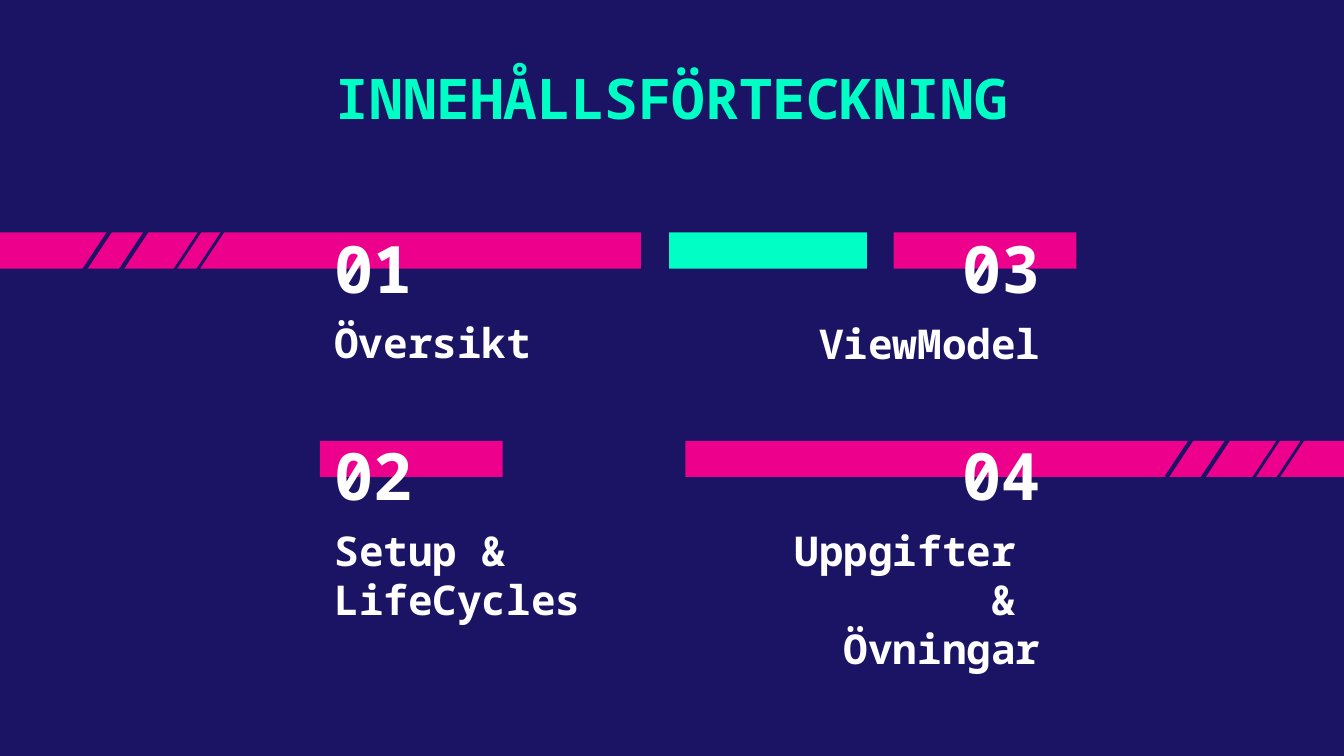
import pptx
import pptx.util
from pptx.dml.color import RGBColor
from pptx.enum.shapes import MSO_CONNECTOR, MSO_SHAPE
from pptx.enum.text import MSO_ANCHOR, PP_ALIGN
from pptx.oxml.ns import qn
from lxml import etree

Inches = pptx.util.Inches
NAVY = RGBColor(0x1B, 0x14, 0x64)
PINK = RGBColor(0xEC, 0x00, 0x8C)
MINT = RGBColor(0x00, 0xFF, 0xC5)
WHITE = RGBColor(0xFF, 0xFF, 0xFF)
FONT = "Noto Sans Mono"

TITLE = "INNEHÅLLSFÖRTECKNING"
BAR_HEIGHT = 0.27
BARS = [
    (0, 1.73, 4.77, PINK),
    (6.65, 1.73, 1.36, PINK),
    (2.38, 3.28, 1.36, PINK),
    (5.1, 3.28, 4.9, PINK),
    (4.98, 1.73, 1.47, MINT),
]
NUMBER_WIDTH = 2.37
LEFT_COLUMN = (2.39, PP_ALIGN.LEFT)
RIGHT_COLUMN = (5.47, PP_ALIGN.RIGHT)
SECTIONS = [
    ("01", "Översikt", LEFT_COLUMN, 2.02, 2.36, 2.37),
    ("03", "ViewModel", RIGHT_COLUMN, 2.02, 2.37, 3.15),
    ("02", "Setup &\nLifeCycles", LEFT_COLUMN, 3.56, 3.91, 3.38),
    ("04", "Uppgifter \v& \vÖvningar", RIGHT_COLUMN, 3.56, 3.91, 2.37),
]
SLASH_RUN, SLASH_DROP = 0.57, 0.86
SLASHES = [
    (2.25, [(1.03, 1.4), (1.19, 1.57), (9.25, 2.69), (9.41, 2.86)]),
    (1.5, [(1.53, 1.66), (1.7, 1.66), (9.57, 3.19), (9.75, 3.19)]),
]


def add_bar(slide, left, top, width, color):
    bar = slide.shapes.add_shape(
        MSO_SHAPE.RECTANGLE, Inches(left), Inches(top), Inches(width), Inches(BAR_HEIGHT))
    bar.shadow.inherit = False
    bar.fill.solid()
    bar.fill.fore_color.rgb = color
    bar.line.fill.background()


def add_text(slide, text, box, size, color, alignment, anchor=MSO_ANCHOR.TOP, inset=0):
    text_frame = slide.shapes.add_textbox(*map(Inches, box)).text_frame
    text_frame.word_wrap = True
    text_frame.vertical_anchor = anchor
    text_frame.margin_top = text_frame.margin_bottom = Inches(inset)
    text_frame.margin_left = text_frame.margin_right = Inches(0.1)
    text_frame.text = text
    for paragraph in text_frame.paragraphs:
        paragraph.alignment = alignment
        for run in paragraph.runs:
            run.font.name = FONT
            run.font.size = pptx.util.Pt(size)
            run.font.bold = True
            run.font.color.rgb = color


def add_slash(slide, x, y, weight):
    slash = slide.shapes.add_connector(
        MSO_CONNECTOR.STRAIGHT, Inches(x), Inches(y),
        Inches(x - SLASH_RUN), Inches(y + SLASH_DROP))
    slash.line.color.rgb = NAVY
    slash.line.width = pptx.util.Pt(weight)
    etree.SubElement(slash._element.spPr, qn("a:effectLst"))


def main():
    presentation = pptx.Presentation()
    presentation.slide_width = Inches(10)
    presentation.slide_height = Inches(10 * 9 / 16)
    slide = presentation.slides.add_slide(presentation.slide_layouts[6])
    slide.background.fill.solid()
    slide.background.fill.fore_color.rgb = NAVY

    for bar in BARS:
        add_bar(slide, *bar)

    add_text(slide, TITLE, (1.4, 0.37, 7.2, 0.73), 30, MINT, PP_ALIGN.CENTER, inset=0.1)
    for number, label, (left, alignment), number_top, label_top, label_width in SECTIONS:
        add_text(slide, number, (left, number_top, NUMBER_WIDTH, 0.26), 35, WHITE,
                 alignment, MSO_ANCHOR.BOTTOM)
        if alignment == PP_ALIGN.RIGHT:
            left += NUMBER_WIDTH - label_width
        add_text(slide, label, (left, label_top, label_width, 0.47), 22, WHITE, alignment)

    for weight, starts in SLASHES:
        for x, y in starts:
            add_slash(slide, x, y, weight)

    presentation.save("out.pptx")


if __name__ == "__main__":
    main()
